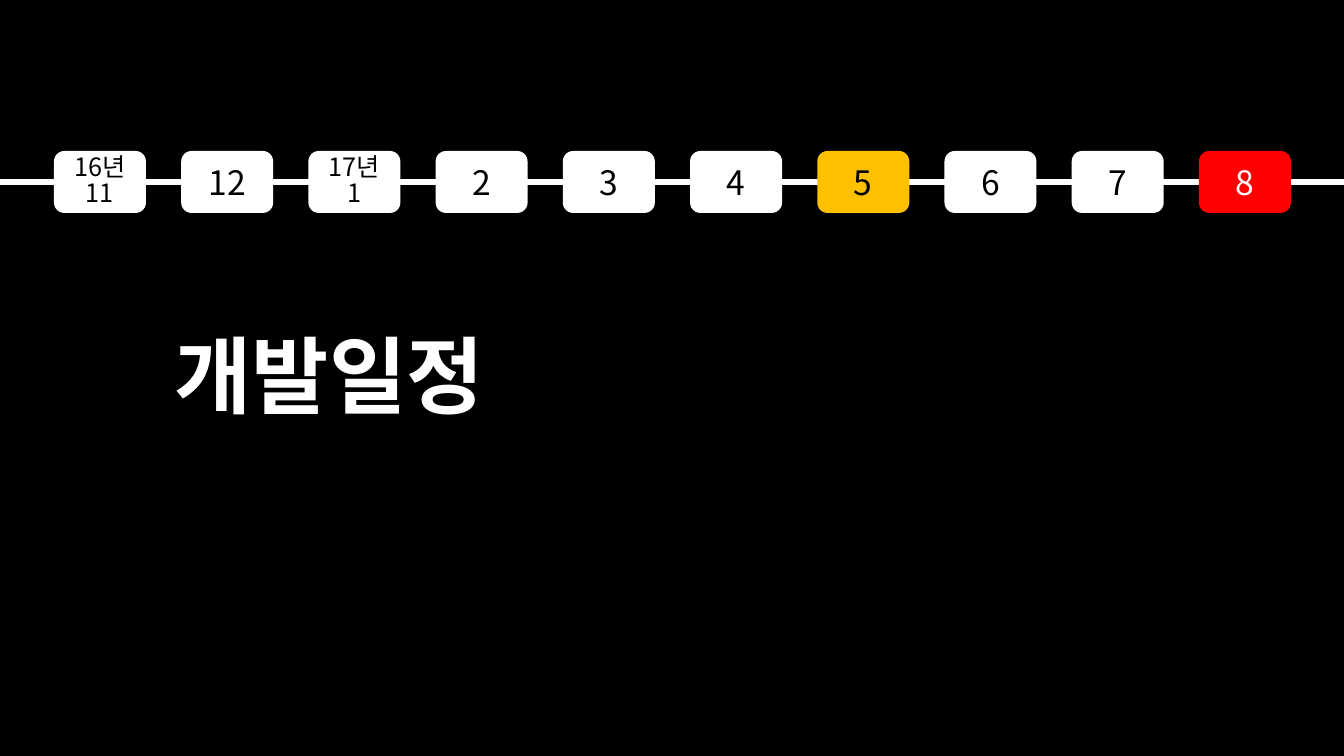
"""Build the development schedule slide with its monthly timeline."""
from dataclasses import dataclass

from lxml import etree
from pptx import Presentation
from pptx import util as u
from pptx.dml.color import RGBColor
from pptx.enum import shapes, text
from pptx.oxml.ns import qn

EMU_PER_PIXEL = 914400 / 100.8
SLIDE_WIDTH, SLIDE_HEIGHT = 1344, 756
FONT = "Noto Sans CJK KR"
COLOURS = {"black": "000000", "white": "FFFFFF", "amber": "FFC000", "red": "FF0000"}
FIRST_LEFT, LAST_LEFT = 54, 1199
MONTH_TOP, MONTH_WIDTH, MONTH_HEIGHT = 151, 92, 62
LINE_Y = MONTH_TOP + MONTH_HEIGHT // 2


@dataclass(frozen=True)
class Month:
    """One month box on the timeline."""

    label: str
    size: int = 24
    fill: str = "white"
    colour: str = "black"
    line_spacing: float = 1.0


MONTHS = [
    Month("16년\n11", size=18, line_spacing=0.85),
    Month("12"),
    Month("17년\n1", size=18, line_spacing=0.85),
    Month("2"),
    Month("3"),
    Month("4"),
    Month("5", fill="amber"),
    Month("6"),
    Month("7"),
    Month("8", fill="red", colour="white"),
]


def px(pixels: float) -> u.Emu:
    """Convert pixels to EMU."""
    return u.Emu(round(pixels * EMU_PER_PIXEL))


def rgb(name: str) -> RGBColor:
    """Look up a named colour."""
    return RGBColor.from_string(COLOURS[name])


def write_text(frame, content: str, *, size: int, colour: str, bold: bool = False,
               wrap: bool = True, line_spacing: float = 1.0) -> None:
    """Write centred text, one paragraph for each line."""
    frame.word_wrap = wrap
    frame.vertical_anchor = text.MSO_ANCHOR.MIDDLE
    frame.text = content
    for paragraph in frame.paragraphs:
        paragraph.alignment = text.PP_ALIGN.CENTER
        paragraph.line_spacing = line_spacing
        for run in paragraph.runs:
            run.font.size = u.Pt(size)
            run.font.bold = bold
            run.font.color.rgb = rgb(colour)
            run.font.name = FONT
            etree.SubElement(run.font._element, qn("a:ea"), typeface=FONT)


def add_timeline(slide) -> None:
    """Draw the line that runs behind the months."""
    line = slide.shapes.add_connector(
        shapes.MSO_CONNECTOR.STRAIGHT, px(0), px(LINE_Y), px(SLIDE_WIDTH), px(LINE_Y))
    line.line.color.rgb = rgb("white")
    line.line.width = u.Pt(5)
    etree.SubElement(line._element.spPr, qn("a:effectLst"))


def add_month(slide, month: Month, left: float) -> None:
    """Draw one month box."""
    shape = slide.shapes.add_shape(
        shapes.MSO_SHAPE.ROUNDED_RECTANGLE,
        px(left), px(MONTH_TOP), px(MONTH_WIDTH), px(MONTH_HEIGHT))
    shape.shadow.inherit = False
    shape.fill.solid()
    shape.fill.fore_color.rgb = rgb(month.fill)
    shape.line.fill.background()
    write_text(shape.text_frame, month.label, size=month.size, colour=month.colour,
               line_spacing=month.line_spacing)


def add_title(slide, content: str) -> None:
    """Place and format the slide title."""
    title = slide.shapes.title
    title.left, title.top, title.width, title.height = map(px, (149, 318, 360, 112))
    write_text(title.text_frame, content, size=60, colour="white", bold=True, wrap=False)


def main() -> None:
    """Build and save the presentation."""
    presentation = Presentation()
    presentation.slide_width, presentation.slide_height = px(SLIDE_WIDTH), px(SLIDE_HEIGHT)
    slide = presentation.slides.add_slide(presentation.slide_layouts.get_by_name("Title Only"))
    slide.background.fill.solid()
    slide.background.fill.fore_color.rgb = rgb("black")
    add_title(slide, "개발일정")
    add_timeline(slide)
    pitch = (LAST_LEFT - FIRST_LEFT) / (len(MONTHS) - 1)
    for index, month in enumerate(MONTHS):
        add_month(slide, month, FIRST_LEFT + index * pitch)
    presentation.save("out.pptx")


main()
